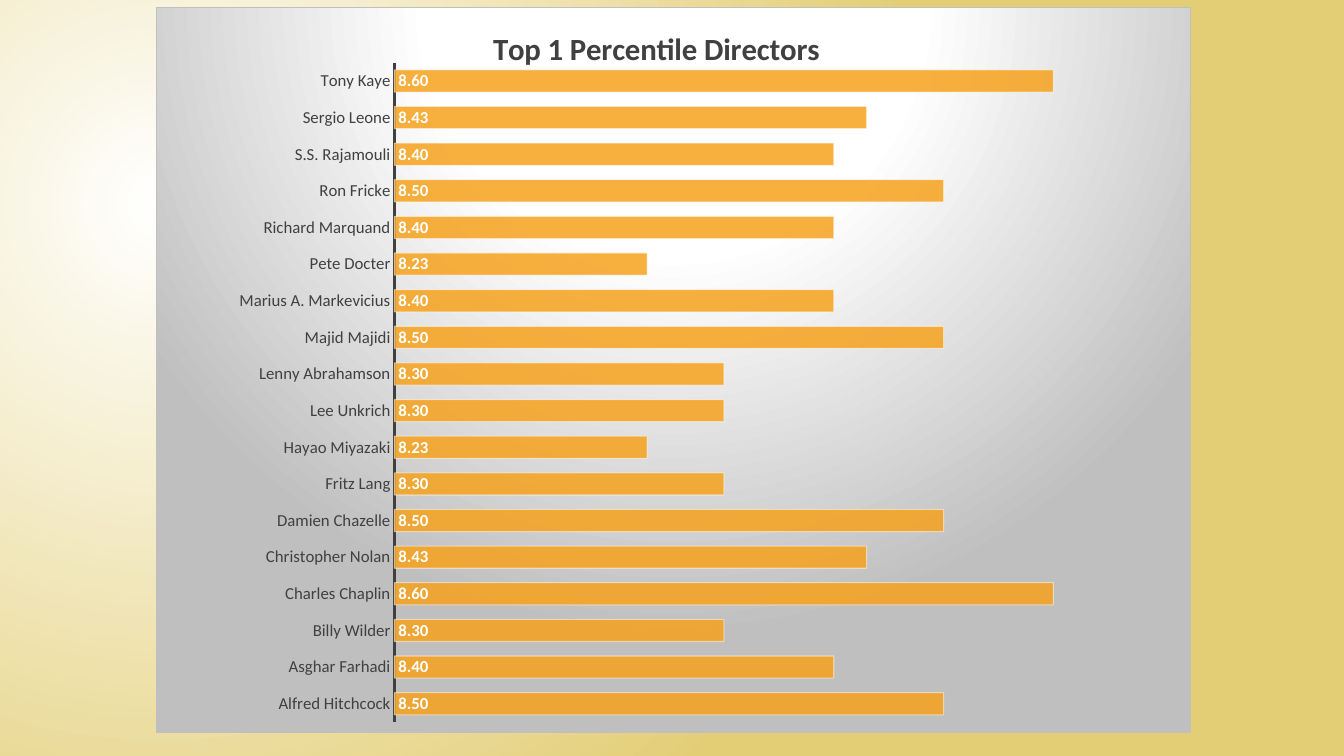
from lxml.etree import SubElement
from pptx import Presentation
from pptx.chart.data import CategoryChartData
from pptx.dml.color import RGBColor
from pptx.enum.chart import XL_CHART_TYPE, XL_LABEL_POSITION, XL_TICK_MARK
from pptx.oxml import parse_xml
from pptx.oxml.ns import nsdecls, qn
from pptx.util import Inches, Pt

HUES = {"white": "FFFFFF", "sand": "E3CE76", "grey": "BFBFBF",
        "dark": "404040", "gold": "F6A21D", "black": "000000"}
FACE = "Calibri"
SCORES = {
    "Alfred Hitchcock": 8.5, "Asghar Farhadi": 8.4, "Billy Wilder": 8.3,
    "Charles Chaplin": 8.6, "Christopher Nolan": 8.43,
    "Damien Chazelle": 8.5, "Fritz Lang": 8.3, "Hayao Miyazaki": 8.23,
    "Lee Unkrich": 8.3, "Lenny Abrahamson": 8.3, "Majid Majidi": 8.5,
    "Marius A. Markevicius": 8.4, "Pete Docter": 8.23,
    "Richard Marquand": 8.4, "Ron Fricke": 8.5, "S.S. Rajamouli": 8.4,
    "Sergio Leone": 8.43, "Tony Kaye": 8.6,
}


def hue(name):
    return RGBColor.from_string(HUES[name])


def style(font, size, name, bold=False):
    font.name, font.size, font.bold = FACE, Pt(size), bold
    font.color.rgb = hue(name)


def radial(stops, rect):
    """Circular gradient; rect holds left, top, right, bottom in percent."""
    marks = "".join(
        f'<a:gs pos="{pos * 1000}"><a:srgbClr val="{HUES[name]}"/></a:gs>'
        for pos, name in stops)
    sides = " ".join(f'{k}="{v * 1000}"' for k, v in zip("ltrb", rect))
    return (f'<a:gradFill {nsdecls("a")} rotWithShape="1">'
            f'<a:gsLst>{marks}</a:gsLst><a:path path="circle">'
            f'<a:fillToRect {sides}/></a:path></a:gradFill>')


def fade(node, percent):
    SubElement(node, qn("a:alpha")).set("val", str(percent * 1000))


def place(node, index, inner=False, **parts):
    """Give a chart part a manual layout in fractions of the chart."""
    for old in node.xpath("c:layout"):
        node.remove(old)
    rows = '<c:layoutTarget val="inner"/>' if inner else ""
    rows += '<c:xMode val="edge"/><c:yMode val="edge"/>'
    rows += "".join(f'<c:{k} val="{v}"/>' for k, v in parts.items())
    node.insert(index, parse_xml(
        f'<c:layout {nsdecls("c")}><c:manualLayout>{rows}'
        '</c:manualLayout></c:layout>'))


def backdrop(slide):
    slide.background.fill.solid()
    flat = slide.element.xpath(".//p:bgPr/a:solidFill")[0]
    grad = radial([(0, "white"), (100, "sand")], (50, 55, 125, 100))
    flat.getparent().replace(flat, parse_xml(grad))


def add_bars(slide, left, top, width, height):
    data = CategoryChartData(number_format="0.00")
    data.categories = list(SCORES)
    data.add_series("Series 1", list(SCORES.values()))
    chart = slide.shapes.add_chart(
        XL_CHART_TYPE.BAR_CLUSTERED, left, top, width, height, data).chart
    style(chart.font, 10, "black")
    chart.has_legend = False

    # Title
    chart.has_title = True
    run = chart.chart_title.text_frame.paragraphs[0].add_run()
    run.text = "Top 1 Percentile Directors"
    style(run.font, 22, "dark", True)

    # Axes
    names, values = chart.category_axis, chart.value_axis
    names.major_tick_mark = names.minor_tick_mark = XL_TICK_MARK.NONE
    names.has_major_gridlines = values.has_major_gridlines = False
    style(names.tick_labels.font, 12, "dark")
    names.format.line.color.rgb = hue("dark")
    names.format.line.width = Pt(1.5)
    values.minimum_scale, values.maximum_scale = 8, 8.7
    values.visible = False

    # Bars and their labels
    plot = chart.plots[0]
    plot.gap_width = 65
    plot.vary_by_categories = False
    bars = plot.series[0]
    bars.format.fill.solid()
    bars.format.fill.fore_color.rgb = hue("gold")
    bars.format.line.color.rgb = hue("white")
    bars.format.line.width = Pt(0.75)
    labels = bars.data_labels
    labels.show_value = True
    labels.position = XL_LABEL_POSITION.INSIDE_BASE
    labels.number_format = "0.00"
    labels.number_format_is_linked = False
    style(labels.font, 12, "white", True)

    # Transparency, layout and chart area
    root = chart.element
    look = "c:chart/c:plotArea//c:ser/c:spPr"
    fade(root.xpath(f"{look}/a:solidFill/a:srgbClr")[0], 85)
    fade(root.xpath(f"{look}/a:ln/a:solidFill/a:srgbClr")[0], 50)
    place(root.xpath("c:chart/c:title")[0], 1, x=0.32, y=0.02)
    place(root.xpath("c:chart/c:plotArea")[0], 0, True,
          x=0.23, y=0.076, w=0.744, h=0.91)
    grad = radial([(0, "white"), (39, "white"), (100, "grey")],
                  (50, -80, 50, 180))
    root.xpath("c:chart")[0].addnext(parse_xml(
        f'<c:spPr {nsdecls("c", "a")}>{grad}<a:ln w="{Pt(0.75)}">'
        f'<a:solidFill><a:srgbClr val="{HUES["grey"]}"/></a:solidFill>'
        '</a:ln></c:spPr>'))


def main():
    deck = Presentation()
    deck.slide_width, deck.slide_height = Inches(13.33), Inches(7.5)
    slide = deck.slides.add_slide(deck.slide_layouts[6])
    backdrop(slide)
    add_bars(slide, Inches(1.55), Inches(0.07), Inches(10.26), Inches(7.2))
    deck.save("out.pptx")


if __name__ == "__main__":
    main()
